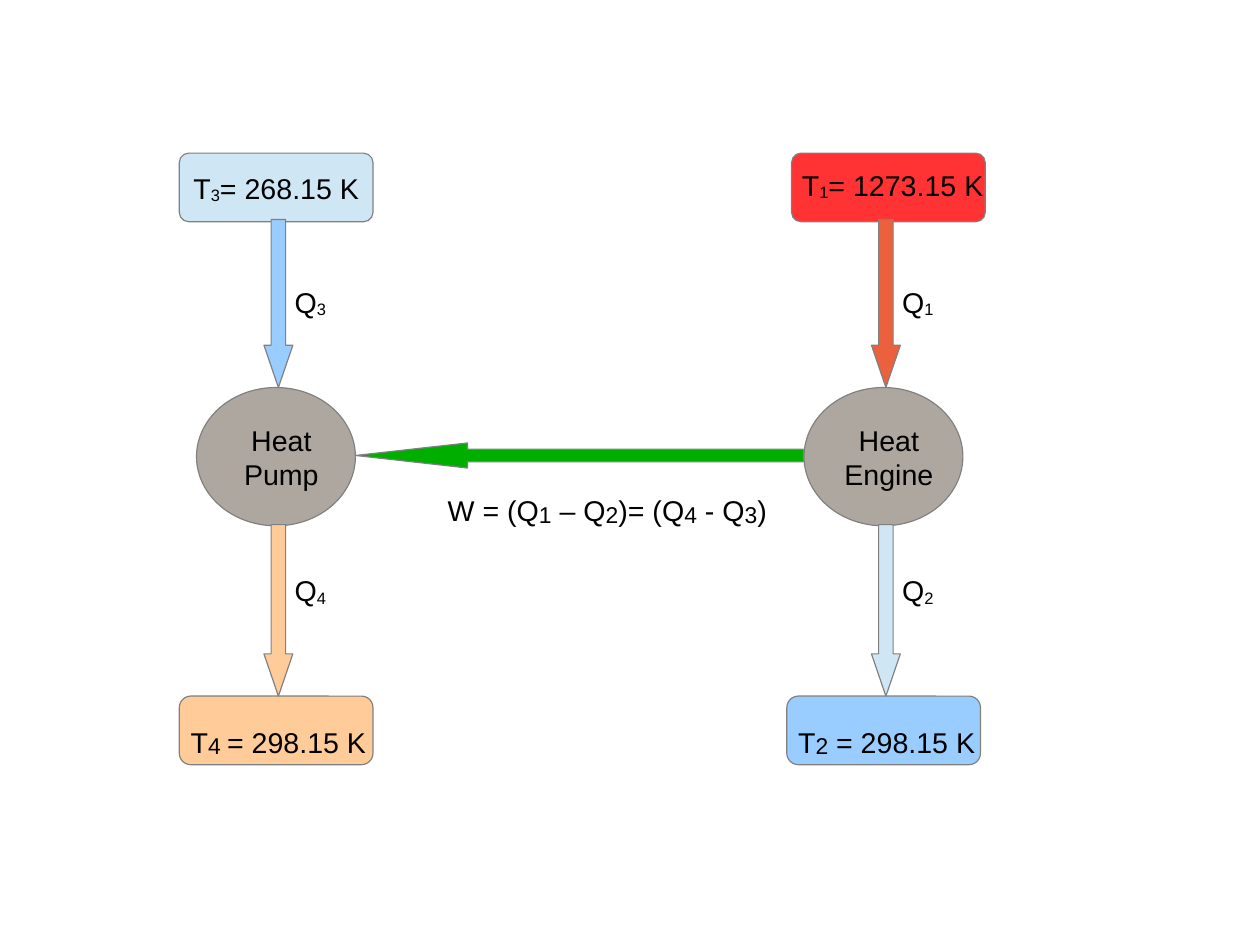
from dataclasses import dataclass

from pptx import Presentation
from pptx.dml.color import RGBColor
from pptx.enum.shapes import MSO_SHAPE
from pptx.enum.text import MSO_AUTO_SIZE, PP_ALIGN
from pptx.util import Pt

ROUND, OVAL = MSO_SHAPE.ROUNDED_RECTANGLE, MSO_SHAPE.OVAL
DOWN, LEFT = MSO_SHAPE.DOWN_ARROW, MSO_SHAPE.LEFT_ARROW
CENTER, START = PP_ALIGN.CENTER, PP_ALIGN.LEFT
GROW = MSO_AUTO_SIZE.SHAPE_TO_FIT_TEXT


@dataclass(frozen=True)
class Theme:
    """Colours, font and type sizes of the slide."""
    font: str = "Arial"
    size: float = 18
    large: float = 24.8
    ink: str = "000000"
    edge: str = "808080"
    gray: str = "AEA79F"
    green: str = "00AE00"
    pale: str = "CFE7F5"
    blue: str = "99CCFF"
    peach: str = "FFCC99"
    red: str = "FF3333"
    rust: str = "EB613D"


THEME = Theme()


def draw(slide, kind, box, fill, *adjust):
    """Add a filled preset shape with a hairline edge."""
    shape = slide.shapes.add_shape(kind, *map(Pt, box))
    shape.shadow.inherit = False
    shape.fill.solid()
    shape.fill.fore_color.rgb = RGBColor.from_string(fill)
    shape.line.color.rgb = RGBColor.from_string(THEME.edge)
    shape.line.width = Pt(0)
    for i, value in enumerate(adjust):
        shape.adjustments[i] = value


def write(slide, box, text, align=START, large=False, wrap=True):
    """Add a label in which every second part between bars is a subscript."""
    frame = slide.shapes.add_textbox(*map(Pt, box)).text_frame
    frame.word_wrap = wrap
    frame.auto_size = GROW
    para = frame.paragraphs[0]
    para.alignment = align
    para.font.name = THEME.font
    para.font.size = Pt(THEME.size)
    para.font.color.rgb = RGBColor.from_string(THEME.ink)
    for i, part in enumerate(text.split("|")):
        run = para.add_run()
        run.text = part
        if i % 2:
            run._r.get_or_add_rPr().set("baseline", "-4000" if large else "-8000")
            if large:
                run.font.size = Pt(THEME.large)


def column(slide, x, y, name, top, base, flows, shift=0, lift=0):
    """Draw a machine between its upper and lower heat stores."""
    title, fill = top
    draw(slide, ROUND, (x + shift, y, 122, 43.2), fill, 0.137)
    wide = 133.2 if shift else 122
    write(slide, (x, y + 7.6 - lift, wide, 33), title, CENTER)
    title, fill = base
    draw(slide, ROUND, (x, y + 342, 122, 43.2), fill, 0.167)
    write(slide, (x, y + 349.5, 127, 30.2), title, large=True, wrap=False)
    draw(slide, OVAL, (x + 10.8, y + 147.6, 100.1, 87.1), THEME.gray)
    write(slide, (x + 28.6, y + 166.3, 71.3, 47.5), name, CENTER)
    for (label, fill), start, end in zip(flows, (41.8, 234), (147.6, 342)):
        draw(slide, DOWN, (x + 53.3, y + start, 18.2, end - start), fill, 0.5, 1.46)
        gap = 37.4 if start < 100 else 27.1
        write(slide, (x + 65.5, y + start + gap, 42.5, 38.9), label)


def work(slide, x, y, wide):
    """Draw the work arrow and the balance under it."""
    draw(slide, LEFT, (x, y, wide, 15.8), THEME.green, 0.5, 4.47)
    text = "W = (Q|1| – Q|2|)= (Q|4| - Q|3|)"
    write(slide, (x + 51.1, y + 21.2, 218.2, 31.7), text, large=True)


def main():
    """Build and save the slide."""
    deck = Presentation()
    deck.slide_width, deck.slide_height = Pt(793.75), Pt(595.25)
    slide = deck.slides.add_slide(deck.slide_layouts[6])
    column(slide, 113, 96.5, "Heat Pump",
           ("T|3|= 268.15 K", THEME.pale), ("T|4 |= 298.15 K", THEME.peach),
           (("Q|3", THEME.blue), ("Q|4", THEME.peach)))
    work(slide, 223.9, 279, 282.2)
    column(slide, 495.7, 96.5, "Heat Engine",
           ("T|1|= 1273.15 K", THEME.red), ("T|2| = 298.15 K", THEME.blue),
           (("Q|1", THEME.rust), ("Q|2", THEME.pale)), shift=3, lift=1.8)
    deck.save("out.pptx")


if __name__ == "__main__":
    main()
